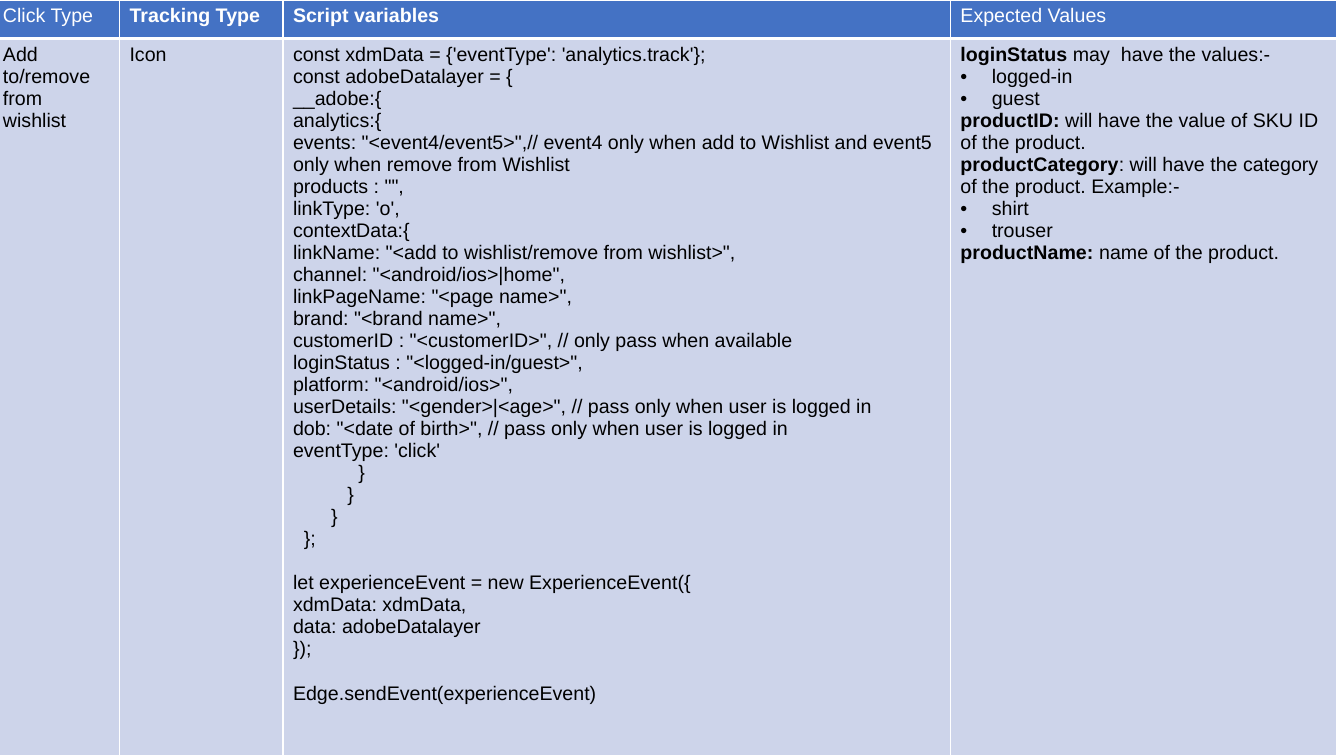
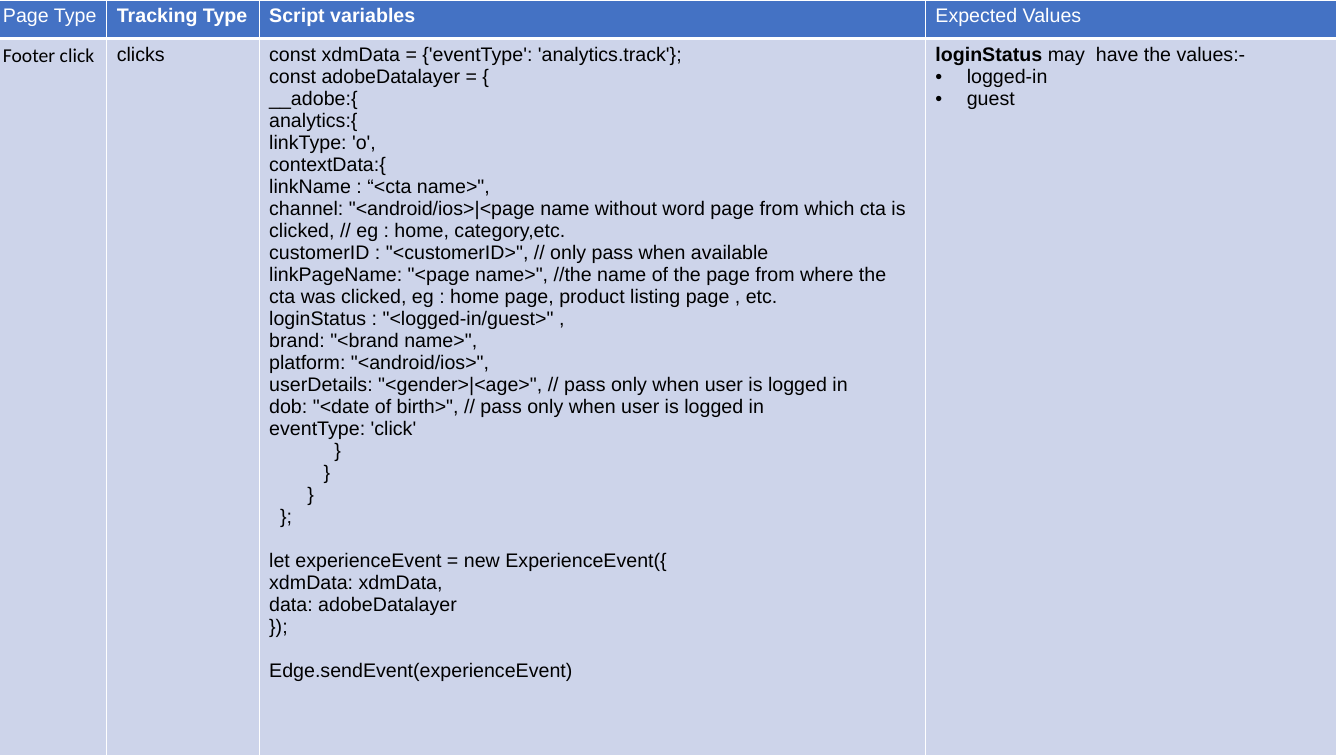
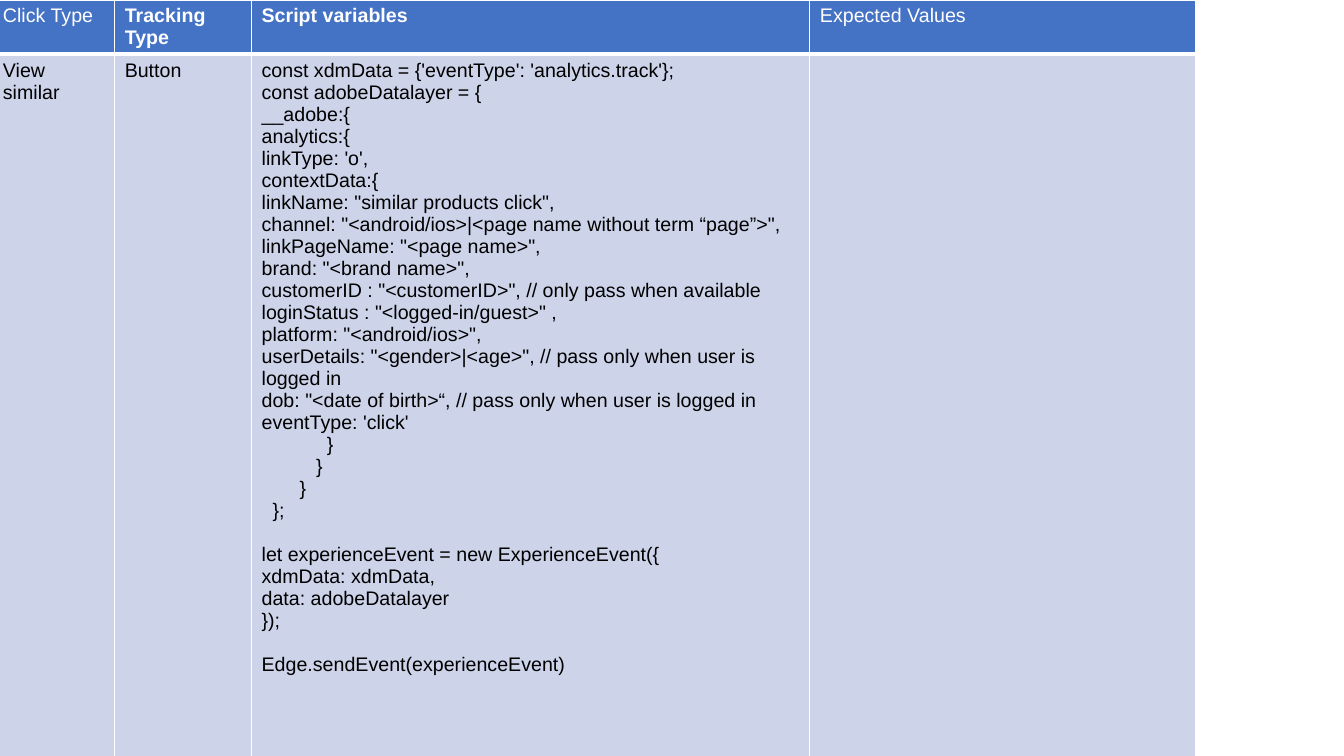
from dataclasses import dataclass

from lxml import etree
from pptx import Presentation
from pptx.dml.color import RGBColor
from pptx.oxml.ns import qn
from pptx.util import Cm, Pt

HEADER_BLUE = RGBColor(0x44, 0x72, 0xC4)
BODY_BLUE = RGBColor(0xCD, 0xD4, 0xEA)
WHITE = RGBColor(0xFF, 0xFF, 0xFF)
BLACK = RGBColor(0x00, 0x00, 0x00)

SLIDE_WIDTH, SLIDE_HEIGHT = Cm(33.87), Cm(19.05)
TABLE_LEFT = Cm(-0.18)
HEADER_HEIGHT = Cm(0.97)
BODY_HEIGHT = SLIDE_HEIGHT - HEADER_HEIGHT
BULLET_INDENT = Cm(0.79)
CODE_GAP = Pt(15.7)
THIN, THICK = Pt(1), Pt(3)

FONT = "Arial"
BASE_FORMAT = {"name": FONT, "size": Pt(14), "bold": False}

CODE_OPENING = [
    "const xdmData = {'eventType': 'analytics.track'};",
    "const adobeDatalayer = {",
    "__adobe:{",
    "analytics:{",
]
LINK_CONTEXT = ["linkType: 'o',", "contextData:{"]
PAGE_NAME = 'linkPageName: "<page name>",'
BRAND = 'brand: "<brand name>",'
CUSTOMER = 'customerID : "<customerID>", // only pass when available'
LOGIN = 'loginStatus : "<logged-in/guest>" ,'
PLATFORM = 'platform: "<android/ios>",'
USER_DETAILS = 'userDetails: "<gender>|<age>", // pass only when user is logged in'
BIRTH_DATE = 'dob: "<date of birth>", // pass only when user is logged in'
CODE_CLOSING = [
    "eventType: 'click'",
    "            }",
    "          }",
    "       }",
    "  };",
]
EVENT_CALL = [
    "let experienceEvent = new ExperienceEvent({",
    "xdmData: xdmData,",
    "data: adobeDatalayer",
    "});",
]
SEND_CALL = ["Edge.sendEvent(experienceEvent)"]


@dataclass
class Entry:
    """One paragraph of a cell: an optional bold term, then plain text."""
    text: str
    term: str = ""
    bullet: bool = False
    gap: bool = False


LOGIN_VALUES = [
    Entry("may  have the values:-", term="loginStatus "),
    Entry("logged-in", bullet=True),
    Entry("guest", bullet=True),
]
PRODUCT_VALUES = [
    Entry(" will have the value of SKU ID of the product.", term="productID:"),
    Entry(": will have the category of the product. Example:-", term="productCategory"),
    Entry("shirt", bullet=True),
    Entry("trouser", bullet=True),
    Entry("name of the product.", term="productName: "),
]


def code_entries(variables):
    """Wrap the variables of one event in the shared code, with gaps between blocks."""
    blocks = [CODE_OPENING + variables + CODE_CLOSING, EVENT_CALL, SEND_CALL]
    return [
        Entry(line, gap=block_number > 0 and line_number == 0)
        for block_number, block in enumerate(blocks)
        for line_number, line in enumerate(block)
    ]


def add_span(para, text, **changes):
    span = para.add_run()
    span.text = text
    values = BASE_FORMAT | changes
    color = values.pop("color", BLACK)
    for name, value in values.items():
        setattr(span.font, name, value)
    span.font.color.rgb = color


def add_bullet(para):
    properties = para._p.get_or_add_pPr()
    properties.set("marL", str(BULLET_INDENT))
    properties.set("indent", str(-BULLET_INDENT))
    color = etree.SubElement(properties, qn("a:buClr"))
    etree.SubElement(color, qn("a:srgbClr"), val=str(BLACK))
    etree.SubElement(properties, qn("a:buFont"), typeface=FONT)
    etree.SubElement(properties, qn("a:buChar"), char="•")


def style_cell(cell, fill, top=THIN, bottom=THIN):
    properties = cell._tc.get_or_add_tcPr()
    for side, width in (("L", THIN), ("R", THIN), ("T", top), ("B", bottom)):
        line = etree.SubElement(properties, qn(f"a:ln{side}"), w=str(width))
        solid = etree.SubElement(line, qn("a:solidFill"))
        etree.SubElement(solid, qn("a:srgbClr"), val=str(WHITE))
    cell.fill.solid()
    cell.fill.fore_color.rgb = fill


def fill_header(cell, text, bold):
    style_cell(cell, HEADER_BLUE, bottom=THICK)
    add_span(cell.text_frame.paragraphs[0], text, bold=bold, color=WHITE)


def fill_body(cell, entries, font):
    style_cell(cell, BODY_BLUE, top=THICK)
    frame = cell.text_frame
    for number, entry in enumerate(entries):
        para = frame.add_paragraph() if number else frame.paragraphs[0]
        if entry.gap:
            para.space_before = CODE_GAP
        if entry.bullet:
            add_bullet(para)
        if entry.term:
            add_span(para, entry.term, bold=True)
        add_span(para, entry.text, name=font)


def add_tracking_slide(deck, widths, kind, subject, tracking, variables, values,
                       subject_font=FONT):
    page = deck.slides.add_slide(deck.slide_layouts[6])
    widths = [Cm(width) for width in widths]
    table = page.shapes.add_table(
        2, len(widths), TABLE_LEFT, 0, sum(widths), SLIDE_HEIGHT).table
    table.horz_banding = False
    for column, width in zip(table.columns, widths):
        column.width = width
    for row, height in zip(table.rows, (HEADER_HEIGHT, BODY_HEIGHT)):
        row.height = height

    columns = [
        (kind, False, [Entry(subject)], subject_font),
        ("Tracking Type", True, [Entry(tracking)], FONT),
        ("Script variables", True, code_entries(variables), FONT),
        ("Expected Values", False, values, FONT),
    ]
    for number, (heading, bold, entries, font) in enumerate(columns):
        fill_header(table.cell(0, number), heading, bold)
        fill_body(table.cell(1, number), entries, font)


def main():
    deck = Presentation()
    deck.slide_width, deck.slide_height = SLIDE_WIDTH, SLIDE_HEIGHT

    add_tracking_slide(
        deck, (3.19, 4.12, 16.82, 9.73), "Click Type", "Add to/remove from wishlist", "Icon",
        [
            'events: "<event4/event5>",// event4 only when add to Wishlist'
            " and event5 only when remove from Wishlist",
            'products : "",',
            *LINK_CONTEXT,
            'linkName: "<add to wishlist/remove from wishlist>",',
            'channel: "<android/ios>|home",',
            PAGE_NAME, BRAND, CUSTOMER,
            'loginStatus : "<logged-in/guest>",',
            PLATFORM, USER_DETAILS, BIRTH_DATE,
        ],
        LOGIN_VALUES + PRODUCT_VALUES)

    add_tracking_slide(
        deck, (2.87, 3.84, 16.79, 10.36), "Page Type", "Footer click", "clicks",
        [
            *LINK_CONTEXT,
            'linkName : “<cta name>",',
            'channel: "<android/ios>|<page name without word page from which cta is clicked,'
            " // eg : home, category,etc.",
            CUSTOMER,
            PAGE_NAME + " //the name of the page from where the cta was clicked,"
            " eg : home page, product listing page , etc.",
            LOGIN, BRAND, PLATFORM, USER_DETAILS, BIRTH_DATE,
        ],
        LOGIN_VALUES, subject_font="Calibri")

    add_tracking_slide(
        deck, (3.07, 3.45, 14.07, 9.73), "Click Type", "View similar", "Button",
        [
            *LINK_CONTEXT,
            'linkName: "similar products click",',
            'channel: "<android/ios>|<page name without term “page”>",',
            PAGE_NAME, BRAND, CUSTOMER, LOGIN, PLATFORM, USER_DETAILS,
            'dob: "<date of birth>“, // pass only when user is logged in',
        ],
        [])

    deck.save("out.pptx")


if __name__ == "__main__":
    main()
